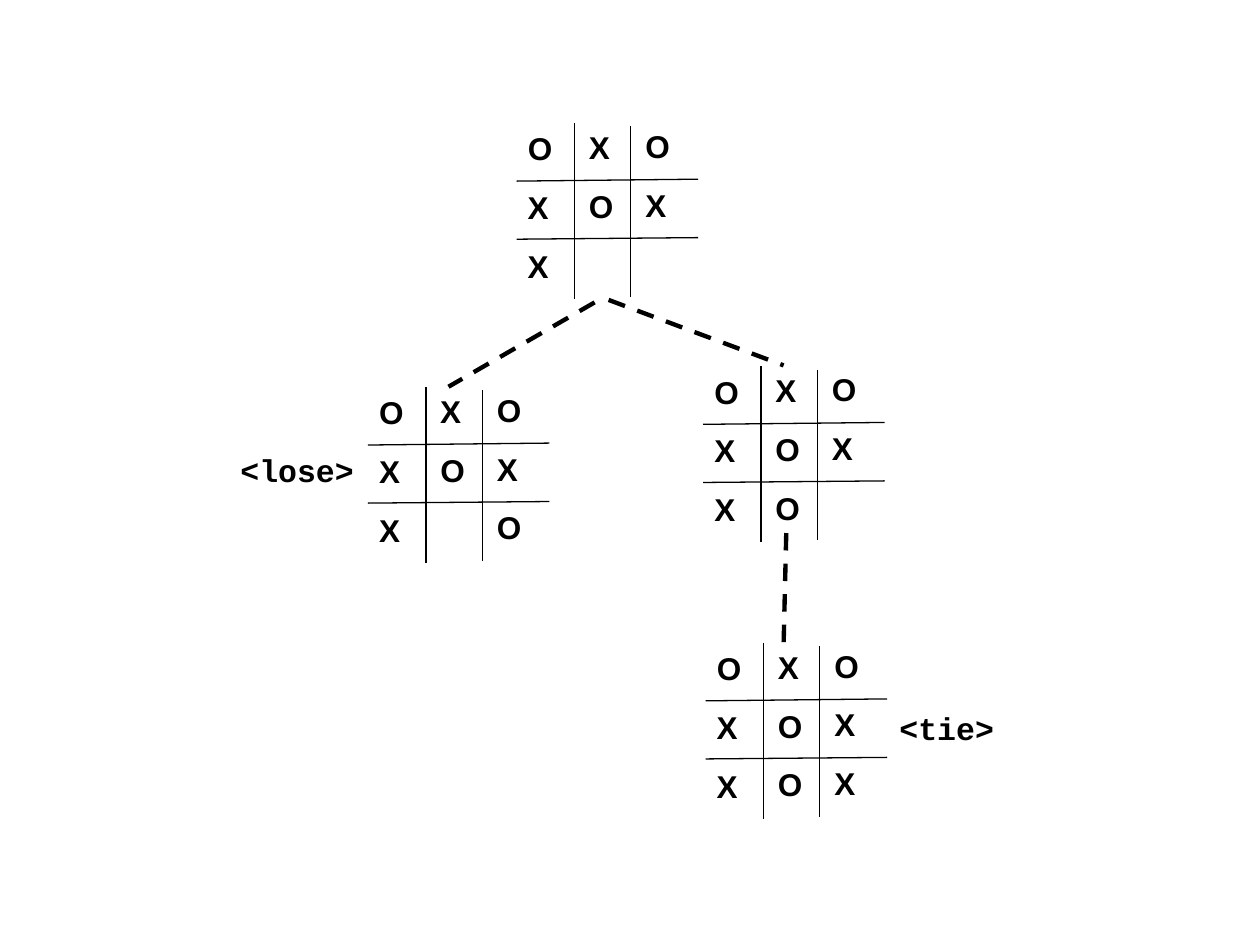
from dataclasses import dataclass

from lxml import etree
from pptx import Presentation
from pptx.dml.color import RGBColor
from pptx.enum.dml import MSO_LINE
from pptx.enum.text import MSO_AUTO_SIZE
from pptx.oxml.ns import qn
from pptx.slide import Slide
from pptx.util import Pt

DASH = MSO_LINE.DASH
GROW = MSO_AUTO_SIZE.SHAPE_TO_FIT_TEXT
BLACK = "000000"
BLANK_LAYOUT = 6
MARK_WIDTH = {"X": 24.5, "O": 32}
COL_X = (-0.7, 34.2, 66.5)
ROW_STEP = 33.6
COL_RISE = 0.7


@dataclass
class Line:
    x1: float
    y1: float
    x2: float
    y2: float


@dataclass
class Board:
    x: float
    y: float
    rows: tuple[str, str, str]


@dataclass
class Label:
    text: str
    x: float
    y: float
    width: float


GRID = (
    Line(0, 33.1, 103.7, 32),
    Line(0, 66.3, 103.7, 65.4),
    Line(33.1, 0, 33.1, 100.4),
    Line(65.3, 1.8, 65.3, 99.3),
)
BOARDS = (
    Board(295.2, 70.4, ("OXO", "XOX", "X  ")),
    Board(210.3, 221.2, ("OXO", "XOX", "X O")),
    Board(401.8, 209.4, ("OXO", "XOX", "XO ")),
    Board(403.2, 367.4, ("OXO", "XOX", "XOX")),
)
BRANCHES = (
    Line(347.8, 171.4, 447.8, 208.8),
    Line(339.8, 172.8, 256.3, 221),
    Line(449.3, 304.6, 447.8, 367.9),
)
LABELS = (
    Label("<lose>", 130.3, 254.2, 90.7),
    Label("<tie>", 506.9, 401.8, 79.2),
)


def color(value: str) -> RGBColor:
    return RGBColor.from_string(value)


def add_line(s: Slide, line: Line, width: float, dashed: bool = False) -> None:
    c = s.shapes.add_connector(
        1, Pt(line.x1), Pt(line.y1), Pt(line.x2), Pt(line.y2)
    )
    c.line.color.rgb = color(BLACK)
    c.line.width = Pt(width)
    if dashed:
        c.line.dash_style = DASH
    etree.SubElement(c._element.spPr, qn("a:effectLst"))


def add_text(s: Slide, label: Label, font: str) -> None:
    sp = s.shapes.add_textbox(
        Pt(label.x), Pt(label.y), Pt(label.width), Pt(28.8)
    )
    tf = sp.text_frame
    tf.word_wrap = True
    tf.auto_size = GROW
    p = tf.paragraphs[0]
    p.text = label.text
    p.space_before = Pt(11.2)
    p.font.name = font
    p.font.size = Pt(18)
    p.font.bold = True
    p.font.color.rgb = color(BLACK)


def add_board(s: Slide, board: Board) -> None:
    for g in GRID:
        add_line(
            s,
            Line(board.x + g.x1, board.y + g.y1, board.x + g.x2, board.y + g.y2),
            0.75,
        )
    for row, marks in enumerate(board.rows):
        for col, mark in enumerate(marks):
            if mark in MARK_WIDTH:
                x = board.x + COL_X[col]
                y = board.y + row * ROW_STEP - col * COL_RISE
                add_text(s, Label(mark, x, y, MARK_WIDTH[mark]), "Arial")


def main() -> None:
    prs = Presentation()
    prs.slide_width, prs.slide_height = Pt(720), Pt(540)
    s = prs.slides.add_slide(prs.slide_layouts[BLANK_LAYOUT])
    for board in BOARDS:
        add_board(s, board)
    for branch in BRANCHES:
        add_line(s, branch, 2.5, dashed=True)
    for label in LABELS:
        add_text(s, label, "Courier New")
    prs.save("out.pptx")


if __name__ == "__main__":
    main()
